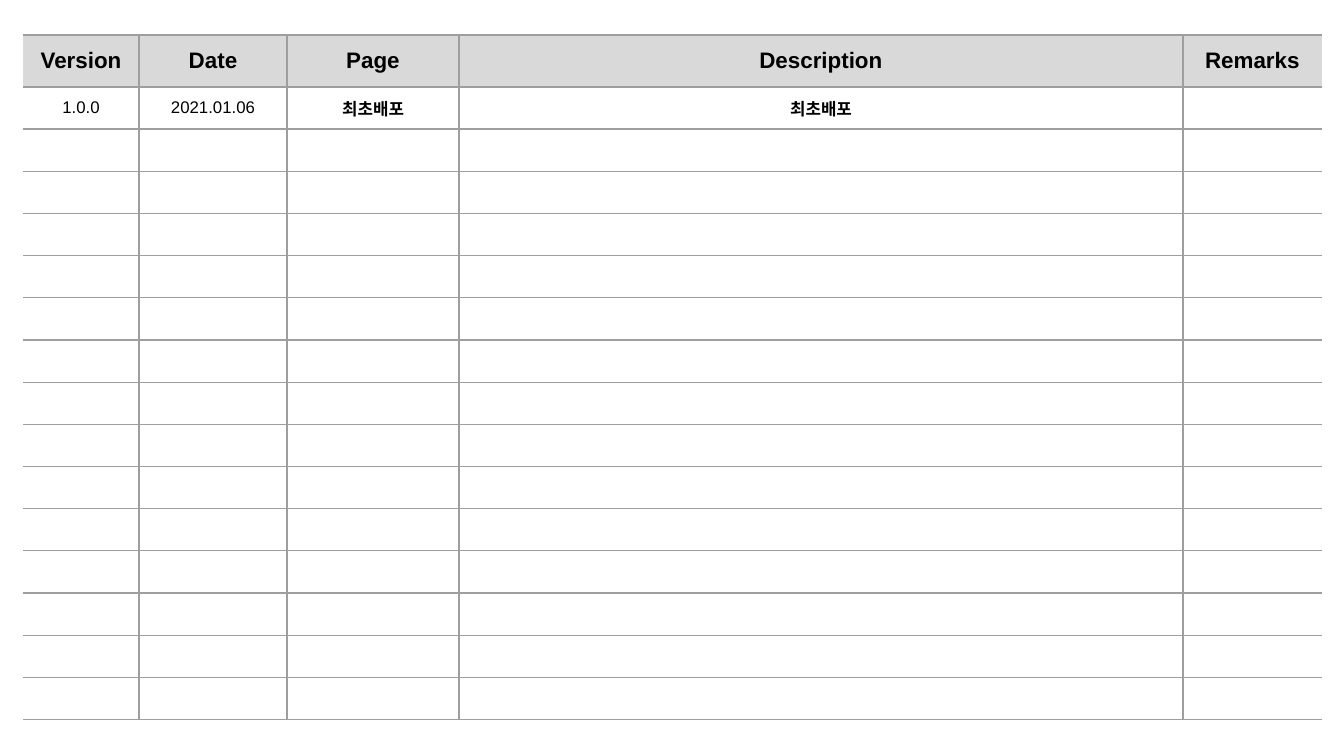
from lxml.etree import SubElement
from pptx import Presentation
from pptx.dml.color import RGBColor
from pptx.enum.text import MSO_ANCHOR, PP_ALIGN
from pptx.oxml.ns import qn
from pptx.util import Pt

PX = 914400 / 134.4
LEFT, TOP = 23, 35
HEADER_HEIGHT, BODY_HEIGHT, BODY_ROWS = 52, 633, 15
COLUMN_WIDTHS = [116, 148, 172, 724, 139]
LINE, BLACK, HEADER_FILL = "9E9E9E", "000000", "D9D9D9"
ENTRIES = [
    ["Version", "Date", "Page", "Description", "Remarks"],
    ["1.0.0", "2021.01.06", "최초배포", "최초배포", ""],
]
BOLD = [[True] * 5, [False, False, True, True, False]]
CELL_FORMAT = {
    "margin_left": 0, "margin_right": 0, "margin_top": 0, "margin_bottom": 0,
    "vertical_anchor": MSO_ANCHOR.MIDDLE,
}


def px(length):
    return round(length * PX)


def add_border(cell, side, visible):
    border = SubElement(cell._tc.get_or_add_tcPr(), qn(f"a:ln{side}"), w=str(Pt(0.75)))
    if visible:
        fill = SubElement(border, qn("a:solidFill"))
        SubElement(fill, qn("a:srgbClr"), val=LINE)
    else:
        SubElement(border, qn("a:noFill"))


deck = Presentation()
deck.slide_width, deck.slide_height = px(1344), px(756)
page = deck.slides.add_slide(deck.slide_layouts[6])

frame = page.shapes.add_table(
    BODY_ROWS + 1, len(COLUMN_WIDTHS), px(LEFT), px(TOP),
    px(sum(COLUMN_WIDTHS)), px(HEADER_HEIGHT + BODY_HEIGHT),
)
history = frame.table
history.first_row = history.horz_banding = False
for column, width in zip(history.columns, COLUMN_WIDTHS):
    column.width = px(width)
for index, row in enumerate(history.rows):
    row.height = px(BODY_HEIGHT / BODY_ROWS if index else HEADER_HEIGHT)

last_column = len(COLUMN_WIDTHS) - 1
for row_index, row in enumerate(history.rows):
    for column_index, cell in enumerate(row.cells):
        for name, value in CELL_FORMAT.items():
            setattr(cell, name, value)
        add_border(cell, "L", column_index > 0)
        add_border(cell, "R", column_index < last_column)
        add_border(cell, "T", True)
        add_border(cell, "B", True)
        if row_index == 0:
            cell.fill.solid()
            cell.fill.fore_color.rgb = RGBColor.from_string(HEADER_FILL)
        else:
            cell.fill.background()

        para = cell.text_frame.paragraphs[0]
        para.alignment = PP_ALIGN.CENTER
        text = ENTRIES[row_index][column_index] if row_index < len(ENTRIES) else ""
        if text:
            span = para.add_run()
            span.text = text
            span.font.color.rgb = RGBColor.from_string(BLACK)
            font_format = {
                "name": "Arial",
                "size": Pt(9 if row_index else 12),
                "bold": BOLD[row_index][column_index],
            }
            for name, value in font_format.items():
                setattr(span.font, name, value)
        else:
            SubElement(para._p, qn("a:endParaRPr"), sz="900")

deck.save("out.pptx")
